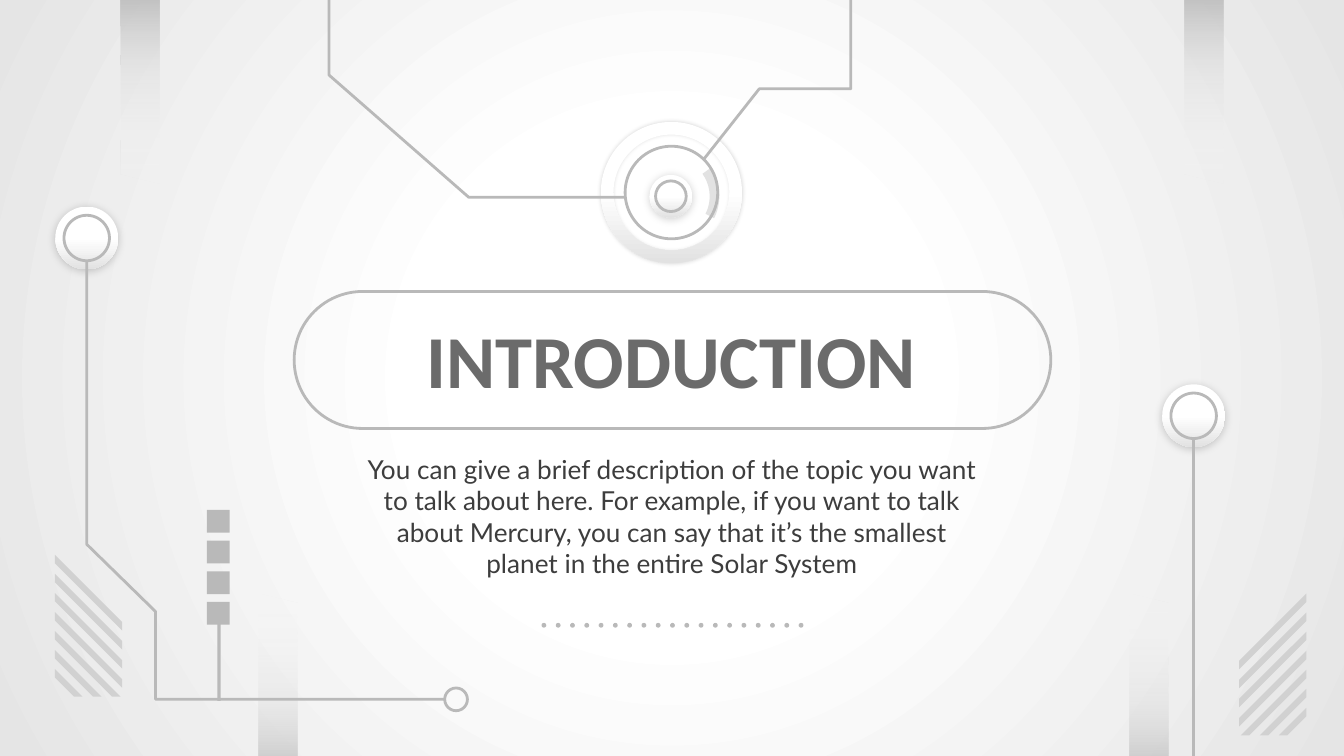
from lxml.etree import SubElement
from pptx import Presentation
from pptx.dml.color import RGBColor
from pptx.enum.shapes import MSO_CONNECTOR, MSO_SHAPE
from pptx.enum.text import MSO_ANCHOR, MSO_AUTO_SIZE, PP_ALIGN
from pptx.oxml import parse_xml
from pptx.oxml.ns import nsdecls, qn
from pptx.util import Cm, Pt

COLORS = {
    "trace": "B9B9B9",
    "fade": "DCDCDC",
    "white": "FFFFFF",
    "shade": "E2E2E2",
    "edge": "E5E5E5",
    "hatch": "D1D1D1",
    "title": "6B6B6B",
    "body": "3D3D3D",
    "shadow": "000000",
}
DOWNWARD = '<a:lin ang="5400000" scaled="0"/>'
LENGTHWISE = '<a:lin ang="0" scaled="0"/>'
RADIAL = '<a:path path="circle"><a:fillToRect l="50000" t="50000" r="50000" b="50000"/></a:path>'
BAR_STOPS = [(0, "trace", 100), (43, "fade", 42), (100, "white", 0)]
DISC_STOPS = [(0, "white", 100), (50, "white", 100), (100, "shade", 100)]
PAGE_STOPS = [(0, "white", 100), (32, "white", 100), (100, "edge", 100)]


def rgb(name):
    """Return the named colour."""
    return RGBColor.from_string(COLORS[name])


def gradient(stops, direction):
    """Return a gradient fill element from (position, colour, opacity) stops."""
    stop_list = "".join(
        f'<a:gs pos="{position * 1000}"><a:srgbClr val="{COLORS[name]}">'
        f'<a:alpha val="{opacity * 1000}"/></a:srgbClr></a:gs>'
        for position, name, opacity in stops
    )
    return parse_xml(
        f'<a:gradFill {nsdecls("a")} rotWithShape="1">'
        f"<a:gsLst>{stop_list}</a:gsLst>{direction}</a:gradFill>"
    )


def paint_gradient(fill, holder, stops, direction):
    """Give the holder of a fill a gradient."""
    fill.background()
    empty = holder.find(qn("a:noFill"))
    holder.replace(empty, gradient(stops, direction))


def style(shape, fill=None, line=None):
    """Set a plain fill and outline, without a shadow."""
    shape.shadow.inherit = False
    if fill:
        shape.fill.solid()
        shape.fill.fore_color.rgb = rgb(fill)
    else:
        shape.fill.background()
    if line:
        shape.line.color.rgb = rgb(line)
        shape.line.width = Pt(1.5)
    else:
        shape.line.fill.background()
    return shape


def add_preset(shapes, kind, left, top, width, height, fill=None, line=None):
    """Add a styled preset shape."""
    box = (Cm(length) for length in (left, top, width, height))
    return style(shapes.add_shape(kind, *box), fill, line)


def add_round(shapes, kind, x, y, diameter, fill=None, line=None):
    """Add a round preset shape by its centre."""
    corner = (x - diameter / 2, y - diameter / 2)
    return add_preset(shapes, kind, *corner, diameter, diameter, fill, line)


def add_outline(shapes, points, fill=None, line=None):
    """Add a closed filled outline or an open traced one."""
    start, *rest = [(Cm(x), Cm(y)) for x, y in points]
    builder = shapes.build_freeform(*start)
    builder.add_line_segments(rest, close=bool(fill))
    return style(builder.convert_to_shape(), fill, line)


def add_disc(shapes, kind, x, y, diameter, opacity, blur, distance):
    """Add a softly shaded and shadowed disc."""
    disc = add_round(shapes, kind, x, y, diameter)
    properties = disc.element.spPr
    paint_gradient(disc.fill, properties, DISC_STOPS, DOWNWARD)
    shadow = SubElement(
        properties.find(qn("a:effectLst")), qn("a:outerShdw"),
        blurRad=str(Pt(blur)), dist=str(Pt(distance)), dir="5400000", algn="bl", rotWithShape="0",
    )
    tint = SubElement(shadow, qn("a:srgbClr"), val=COLORS["shadow"])
    SubElement(tint, qn("a:alpha"), val=str(opacity * 1000))
    return disc


def add_knob(shapes, x, y, diameter, ring):
    """Add a raised disc with a ring on it."""
    add_disc(shapes, MSO_SHAPE.OVAL, x, y, diameter, 19, 4.5, 0.8)
    add_round(shapes, MSO_SHAPE.OVAL, x, y, ring, line="trace")


def add_bar(shapes, left, top, rotation):
    """Add a bar that fades away from the slide's edge."""
    bar = add_preset(shapes, MSO_SHAPE.PARALLELOGRAM, left, top, 3.71, 0.74)
    bar.adjustments[0] = 0.25
    bar.rotation = rotation
    paint_gradient(bar.fill, bar.element.spPr, BAR_STOPS, LENGTHWISE)


def add_hatching(shapes, x, top, direction):
    """Add diagonal stripes that start at x and are cut off at the bottom."""
    width, height, thickness, pitch = 1.27, 2.68, 0.16, 0.36
    for row in range(7):
        y = top + row * pitch
        upper = min(width, height - row * pitch)
        lower = min(width, height - row * pitch - thickness)
        stripe = [
            (x, y),
            (x, y + thickness),
            (x + direction * lower, y + thickness + lower),
            (x + direction * upper, y + upper),
        ]
        add_outline(shapes, stripe, fill="hatch")


def add_line(shapes, start, end):
    """Add a straight trace."""
    ends = (Cm(length) for length in (*start, *end))
    trace = shapes.add_connector(MSO_CONNECTOR.STRAIGHT, *ends)
    trace.line.color.rgb = rgb("trace")
    trace.line.width = Pt(1.5)
    SubElement(trace.element.spPr, qn("a:effectLst"))


def fill_placeholder(holder, box, text, font_name, size, color, bold):
    """Move a placeholder and set its centred text."""
    holder.left, holder.top, holder.width, holder.height = (Cm(length) for length in box)
    frame = holder.text_frame
    frame.text = text
    frame.word_wrap = True
    frame.auto_size = MSO_AUTO_SIZE.NONE
    frame.vertical_anchor = MSO_ANCHOR.MIDDLE
    frame.margin_left = frame.margin_right = frame.margin_top = frame.margin_bottom = Cm(0.25)
    paragraph = frame.paragraphs[0]
    paragraph.alignment = PP_ALIGN.CENTER
    paragraph.space_before = Pt(0)
    font = paragraph.font
    font.name, font.size, font.bold = font_name, Pt(size), bold
    font.color.rgb = rgb(color)


def add_emblem(shapes):
    """Add the dial above the title with its two traces."""
    dial = add_disc(shapes, MSO_SHAPE.DONUT, 12.69, 3.64, 2.67, 14, 2.2, 0)
    dial.adjustments[0] = 0.09
    arc = add_round(shapes, MSO_SHAPE.BLOCK_ARC, 12.68, 3.71, 1.83, fill="shade")
    arc.rotation = 216.3
    for index, value in enumerate((108.12 * 0.6, 170.61 * 0.6, 0.1)):
        arc.adjustments[index] = value
    add_round(shapes, MSO_SHAPE.OVAL, 12.69, 3.64, 1.75, line="trace")
    add_outline(shapes, [(11.81, 3.73), (8.86, 3.73), (6.22, 1.42), (6.22, 0)], line="trace")
    add_outline(shapes, [(13.31, 3), (14.35, 1.68), (16.08, 1.68), (16.08, 0)], line="trace")
    add_knob(shapes, 12.68, 3.71, 0.81, 0.58)


def add_left_circuit(shapes):
    """Add the knob, trace, squares and stripes on the left."""
    add_knob(shapes, 1.64, 4.5, 1.19, 0.86)
    add_preset(shapes, MSO_SHAPE.RECTANGLE, 4.11, 11.68, 0.06, 1.57, fill="trace")
    for row in range(4):
        add_preset(shapes, MSO_SHAPE.RECTANGLE, 3.91, 9.64 + row * 0.58, 0.43, 0.43, fill="trace")
    route = [(1.64, 4.92), (1.64, 10.29), (2.94, 11.56), (2.94, 13.22), (8.41, 13.22)]
    add_outline(shapes, route, line="trace")
    add_round(shapes, MSO_SHAPE.OVAL, 8.62, 13.22, 0.43, line="trace")
    add_hatching(shapes, 1.04, 10.49, 1)


def add_right_circuit(shapes):
    """Add the knob, trace and stripes on the right."""
    add_knob(shapes, 22.56, 7.86, 1.19, 0.86)
    add_hatching(shapes, 24.69, 11.22, -1)
    add_line(shapes, (22.56, 8.28), (22.56, 14.29))


def main():
    """Build the section slide."""
    deck = Presentation()
    deck.slide_width, deck.slide_height = Cm(25.4), Cm(14.29)
    slide = deck.slides.add_slide(deck.slide_layouts[0])
    shapes = slide.shapes
    page_fill = slide.background.fill
    page_fill.background()
    page = next(slide.element.iter(qn("p:bgPr")))
    paint_gradient(page_fill, page, PAGE_STOPS, RADIAL)

    for left, top, rotation in ((0.79, 1.24, 90), (20.9, 1.24, 90), (19.86, 12.7, 270), (3.4, 12.7, 270)):
        add_bar(shapes, left, top, rotation)
    capsule = add_preset(shapes, MSO_SHAPE.ROUNDED_RECTANGLE, 5.56, 5.51, 14.3, 2.59, line="trace")
    capsule.adjustments[0] = 0.5
    fill_placeholder(
        shapes.title, (5.41, 5.61, 14.55, 2.34), "INTRODUCTION", "Calibri", 40, "title", True)
    fill_placeholder(
        slide.placeholders[1], (6.63, 8.08, 12.14, 3.35),
        "You can give a brief description of the topic you want to talk about here. For example, "
        "if you want to talk about Mercury, you can say that it’s the smallest planet in the "
        "entire Solar System", "Lato", 14, "body", False)
    for column in range(19):
        add_round(shapes, MSO_SHAPE.OVAL, 10.28 + column * 0.27, 11.82, 0.09, fill="trace")
    add_emblem(shapes)
    add_left_circuit(shapes)
    add_right_circuit(shapes)
    deck.save("out.pptx")


if __name__ == "__main__":
    main()
